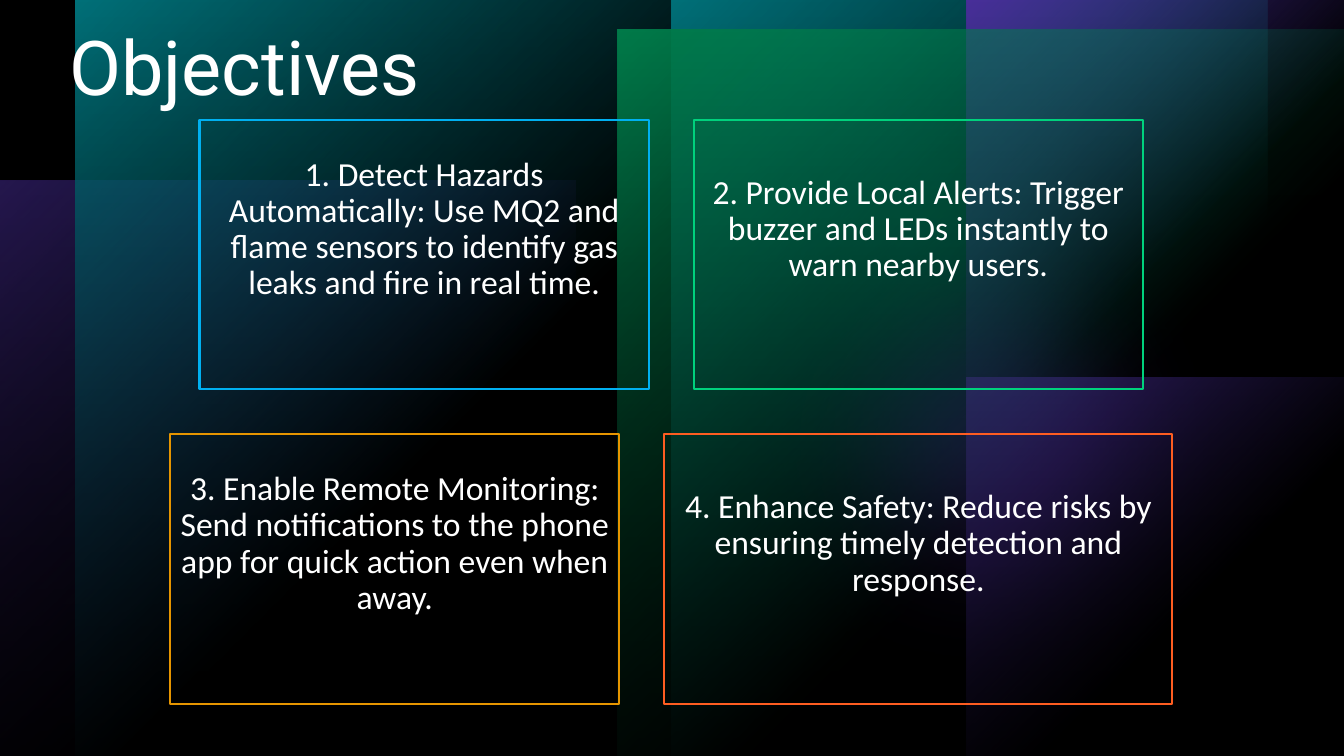
from dataclasses import dataclass

from lxml.etree import SubElement
from pptx import Presentation
from pptx.dml.color import RGBColor as RGB
from pptx.enum.shapes import MSO_SHAPE as SHAPE
from pptx.enum.text import MSO_ANCHOR as ANCHOR, PP_ALIGN as ALIGN
from pptx.oxml.ns import qn
from pptx.util import Pt


@dataclass(frozen=True)
class Theme:
    """Colours, fonts and type sizes of the deck."""
    black: str = "000000"
    white: str = "FFFFFF"
    purple: str = "794DFF"
    teal: str = "00BAC8"
    green: str = "00D17D"
    blue: str = "00B0F0"
    amber: str = "E69500"
    orange: str = "FE5D21"
    title_font: str = "Roboto"
    body_font: str = "Calibri"
    title_size: int = 54
    body_size: int = 24


class Deck:
    """Draws styled elements on the current slide."""

    def __init__(self, prs, theme):
        """Add a blank slide with a plain background."""
        self.theme = theme
        self.s = prs.slides.add_slide(prs.slide_layouts[6])
        fill = self.s.background.fill
        fill.solid()
        fill.fore_color.rgb = RGB.from_string(theme.black)

    def shape(self, kind, x, y, w, h):
        """Add a shape without fill, line or shadow."""
        sp = self.s.shapes.add_shape(kind, Pt(x), Pt(y), Pt(w), Pt(h))
        sp.shadow.inherit = False
        sp.fill.background()
        sp.line.fill.background()
        return sp

    def color(self, parent, color, alpha):
        """Append a colour with an opacity in percent."""
        clr = SubElement(parent, qn("a:srgbClr"), val=color)
        SubElement(clr, qn("a:alpha"), val=str(alpha * 1000))

    def gradient(self, sp, stops):
        """Replace the fill by a gradient and return its element."""
        old = sp._element.spPr.find(qn("a:noFill"))
        grad = SubElement(sp._element.spPr, qn("a:gradFill"), rotWithShape="1")
        old.getparent().replace(old, grad)
        gs_list = SubElement(grad, qn("a:gsLst"))
        for pos, color, alpha in stops:
            gs = SubElement(gs_list, qn("a:gs"), pos=str(pos * 1000))
            self.color(gs, color, alpha)
        return grad

    def glow(self, color, x, y, w, h, alpha=100):
        """Add a panel that fades out from its top left corner."""
        sp = self.shape(SHAPE.RECTANGLE, x, y, w, h)
        grad = self.gradient(sp, [(0, color, alpha), (60, color, 0)])
        way = SubElement(grad, qn("a:path"), path="circle")
        SubElement(way, qn("a:fillToRect"), r="100000", b="100000")

    def orb(self, color, x, y, size, alpha):
        """Add a translucent circle with a soft edge."""
        sp = self.shape(SHAPE.OVAL, x, y, size, size)
        sp.fill.solid()
        sp.fill.fore_color.rgb = RGB.from_string(color)
        clr = sp._element.spPr.find(qn("a:solidFill"))[0]
        SubElement(clr, qn("a:alpha"), val=str(alpha * 1000))
        effects = sp._element.spPr.find(qn("a:effectLst"))
        SubElement(effects, qn("a:softEdge"), rad=str(Pt(100)))

    def veil(self, color, w, h, top, bottom):
        """Add a cover that darkens downwards."""
        sp = self.shape(SHAPE.RECTANGLE, 0, 0, w, h)
        grad = self.gradient(sp, [(0, color, top), (100, color, bottom)])
        SubElement(grad, qn("a:lin"), ang="5400000", scaled="0")

    def text(self, sp, text, font, size, align):
        """Write one styled paragraph into a shape."""
        tf = sp.text_frame
        tf.word_wrap = True
        tf.text = text
        p = tf.paragraphs[0]
        p.alignment = align
        p.line_spacing = 0.9
        r = p.runs[0]
        r.font.name = font
        r.font.size = Pt(size)
        r.font.color.rgb = RGB.from_string(self.theme.white)

    def title(self, text, x, y, w, h):
        """Add the slide title."""
        sp = self.s.shapes.add_textbox(Pt(x), Pt(y), Pt(w), Pt(h))
        self.text(sp, text, self.theme.title_font, self.theme.title_size, ALIGN.LEFT)

    def card(self, text, color, x, y, w, h):
        """Add an outlined card with text slightly above its middle."""
        sp = self.shape(SHAPE.RECTANGLE, x, y, w, h)
        sp.line.color.rgb = RGB.from_string(color)
        sp.line.width = Pt(1.5)
        tf = sp.text_frame
        tf.vertical_anchor = ANCHOR.MIDDLE
        tf.margin_left = tf.margin_right = tf.margin_top = Pt(7.2)
        tf.margin_bottom = Pt(43)
        self.text(sp, text, self.theme.body_font, self.theme.body_size, ALIGN.CENTER)


def main():
    """Build the objectives slide."""
    width, height = 960, 540
    prs = Presentation()
    prs.slide_width, prs.slide_height = Pt(width), Pt(height)
    theme = Theme()
    deck = Deck(prs, theme)

    middle, panel, tile = 479.5, 425.5, 270
    deck.glow(theme.purple, 0, 129, 411, 411, 60)
    deck.orb(theme.green, 502.5, 0, 340, 96)
    deck.orb(theme.purple, 481.7, 97.2, 433.4, 60)
    for x in (middle, middle - panel):
        deck.glow(theme.teal, x, 0, panel, height)
    for y in (tile, 0):
        deck.glow(theme.purple, width - tile, y, tile, tile)
    deck.glow(theme.green, 441, 21, 519, 519)
    deck.veil(theme.black, width, height, 40, 80)

    deck.title("Objectives", 42.5, 18, 320, 77)

    card_w, wide_w, card_h, gap, top = 321, 363, 192.5, 32, 85.7
    rows = [
        [("1. Detect Hazards Automatically: Use MQ2 and flame sensors to "
          "identify gas leaks and fire in real time.", theme.blue, card_w),
         ("2. Provide Local Alerts: Trigger buzzer and LEDs instantly to "
          "warn nearby users.", theme.green, card_w)],
        [("3. Enable Remote Monitoring: Send notifications to the phone "
          "app for quick action even when away.", theme.amber, card_w),
         ("4. Enhance Safety: Reduce risks by ensuring timely detection "
          "and response.", theme.orange, wide_w)],
    ]
    for i, row in enumerate(rows):
        row_w = sum(w for _, _, w in row) + gap * (len(row) - 1)
        x = middle - row_w / 2
        for text, color, w in row:
            deck.card(text, color, x, top + i * (card_h + gap), w, card_h)
            x += w + gap

    prs.save("out.pptx")


if __name__ == "__main__":
    main()
